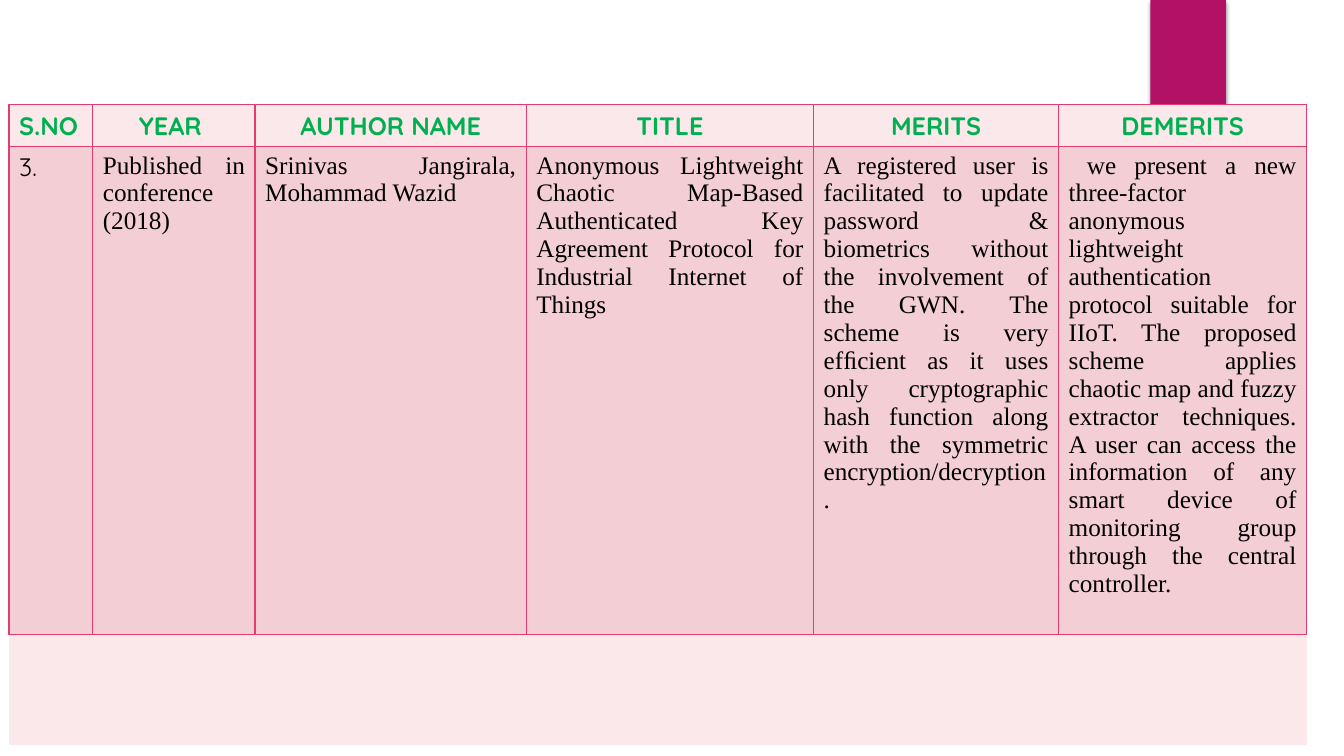
from dataclasses import dataclass

import pptx
import pptx.dml.color
import pptx.enum.shapes
import pptx.enum.text
import pptx.oxml
import pptx.oxml.ns
import pptx.util

Inches = pptx.util.Inches
Align = pptx.enum.text.PP_ALIGN
SANS, SERIF = "Quicksand", "Times New Roman"
GREEN, BLACK, ROSE = "00B050", "000000", "E33D6F"
PALE, PINK, MAGENTA = "FAE8EB", "F4CED5", "B31166"
TABLE_LEFT, TABLE_TOP = 0.09, 1.04
ROW_HEIGHTS = (0.41, 4.84, 1.1)


@dataclass
class Column:
    heading: str
    width: float
    entry: str
    heading_align: Align = Align.CENTER
    entry_font: str = SERIF


COLUMNS = [
    Column("S.NO", 0.83, "3.", Align.LEFT, SANS),
    Column("YEAR ", 1.61, "Published in conference\n(2018)"),
    Column("AUTHOR NAME", 2.69, "Srinivas Jangirala, Mohammad Wazid"),
    Column("TITLE", 2.85,
           "Anonymous Lightweight Chaotic Map-Based Authenticated Key "
           "Agreement Protocol for Industrial Internet of Things"),
    Column("MERITS", 2.43,
           "A registered user is facilitated to update password & biometrics "
           "without the involvement of the GWN. The scheme is very efﬁcient "
           "as it uses only cryptographic hash function along with the "
           "symmetric encryption/decryption."),
    Column("DEMERITS", 2.46,
           " we present a new three-factor anonymous lightweight "
           "authentication protocol suitable for IIoT. The proposed scheme "
           "applies chaotic map and fuzzy extractor techniques. A user can "
           "access the information of any smart device of monitoring group "
           "through the central controller."),
]


def rgb(value: str) -> pptx.dml.color.RGBColor:
    return pptx.dml.color.RGBColor.from_string(value)


def write(frame, text: str, *, font: str, color: str, align: Align,
          bold: bool = False, size: float = 18) -> None:
    frame.text = text
    for paragraph in frame.paragraphs:
        paragraph.alignment = align
        for run in paragraph.runs:
            run.font.name = font
            run.font.size = pptx.util.Pt(size)
            run.font.bold = bold
            run.font.color.rgb = rgb(color)


def style_cell(cell, fill: str, ruled_sides: str = "LRTB") -> None:
    """Rule the given sides in rose, clear the others, then fill the cell."""
    properties = cell._tc.get_or_add_tcPr()
    for side in "LRTB":
        paint = (f'<a:solidFill><a:srgbClr val="{ROSE}"/></a:solidFill>'
                 if side in ruled_sides else "<a:noFill/>")
        properties.append(pptx.oxml.parse_xml(
            f'<a:ln{side} {pptx.oxml.ns.nsdecls("a")} w="12700">'
            f'{paint}</a:ln{side}>'))
    cell.fill.solid()
    cell.fill.fore_color.rgb = rgb(fill)


def add_ribbon(slide) -> None:
    ribbon = slide.shapes.add_shape(
        pptx.enum.shapes.MSO_SHAPE.RECTANGLE,
        Inches(11.41), 0, Inches(0.75), Inches(1.25))
    ribbon.fill.solid()
    ribbon.fill.fore_color.rgb = rgb(MAGENTA)
    ribbon.line.fill.background()
    # Soft shadow straight below
    ribbon._element.spPr.append(pptx.oxml.parse_xml(
        f'<a:effectLst {pptx.oxml.ns.nsdecls("a")}>'
        '<a:outerShdw blurRad="38100" dist="25400" dir="5400000" rotWithShape="0">'
        f'<a:srgbClr val="{BLACK}"><a:alpha val="45000"/></a:srgbClr>'
        '</a:outerShdw></a:effectLst>'))


def add_survey_table(slide) -> None:
    survey = slide.shapes.add_table(
        len(ROW_HEIGHTS), len(COLUMNS), Inches(TABLE_LEFT), Inches(TABLE_TOP),
        Inches(sum(column.width for column in COLUMNS)),
        Inches(sum(ROW_HEIGHTS))).table
    survey.first_row = survey.horz_banding = False
    for row, height in zip(survey.rows, ROW_HEIGHTS):
        row.height = Inches(height)

    for index, column in enumerate(COLUMNS):
        survey.columns[index].width = Inches(column.width)
        heading, entry, footer = (survey.cell(row, index) for row in range(3))
        write(heading.text_frame, column.heading, font=SANS, color=GREEN,
              align=column.heading_align, bold=True)
        write(entry.text_frame, column.entry, font=column.entry_font,
              color=BLACK, align=Align.JUSTIFY)
        style_cell(heading, PALE)
        style_cell(entry, PINK)
        style_cell(footer, PALE, ruled_sides="T")

    # Empty closing row across the full width
    survey.cell(2, 0).merge(survey.cell(2, len(COLUMNS) - 1))


def main() -> None:
    deck = pptx.Presentation()
    deck.slide_width, deck.slide_height = Inches(13.33), Inches(7.5)
    slide = deck.slides.add_slide(deck.slide_layouts[6])
    add_ribbon(slide)
    add_survey_table(slide)
    deck.save("out.pptx")


if __name__ == "__main__":
    main()
